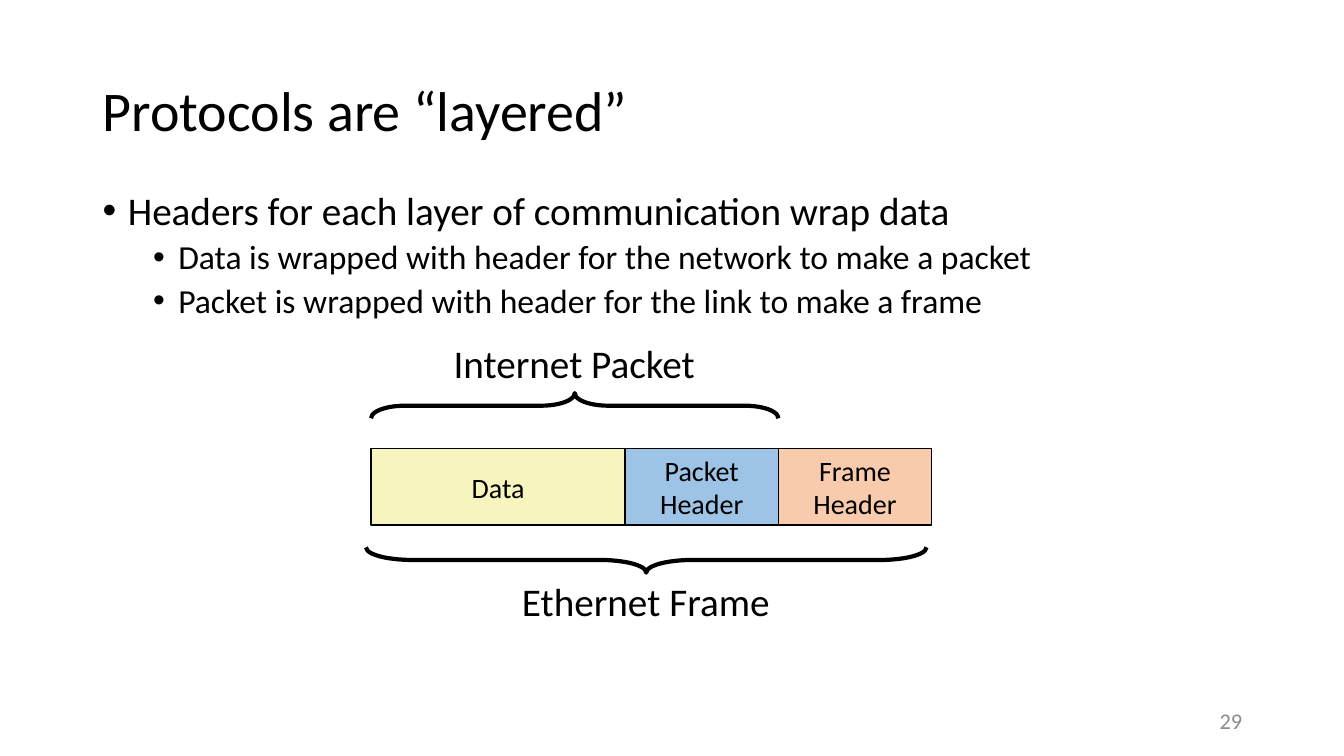
from lxml.etree import SubElement
from pptx import Presentation
from pptx.dml.color import RGBColor
from pptx.enum.shapes import MSO_SHAPE
from pptx.enum.text import MSO_ANCHOR, PP_ALIGN
from pptx.oxml.ns import qn
from pptx.util import Inches, Pt

BLACK = RGBColor(0x00, 0x00, 0x00)
GRAY = RGBColor(0x8C, 0x8C, 0x8C)
YELLOW = RGBColor(0xF6, 0xF5, 0xBD)
BLUE = RGBColor(0x9D, 0xC3, 0xE6)
ORANGE = RGBColor(0xF8, 0xCB, 0xAD)


def write_text(paragraph, text, size, color=BLACK, font="Calibri",
               align=PP_ALIGN.LEFT, line_spacing=1.0, space_before=0,
               bullet_indent=None):
    """Fill a paragraph; bullet_indent is the left margin of a bulleted one."""
    if bullet_indent is not None:
        properties = paragraph._p.get_or_add_pPr()
        properties.set("marL", str(Inches(bullet_indent)))
        properties.set("indent", str(-Inches(0.25)))
        SubElement(properties, qn("a:buFont"), typeface="Arial")
        SubElement(properties, qn("a:buChar"), char="•")
    paragraph.text = text
    paragraph.alignment = align
    paragraph.line_spacing = line_spacing
    paragraph.space_before = Pt(space_before)
    for run in paragraph.runs:
        run.font.name = font
        run.font.size = Pt(size)
        run.font.color.rgb = color


class SlideBuilder:
    def __init__(self, slide):
        self.slide = slide

    def text_box(self, left, top, width, height, anchor=MSO_ANCHOR.MIDDLE):
        box = self.slide.shapes.add_textbox(
            Inches(left), Inches(top), Inches(width), Inches(height))
        frame = box.text_frame
        frame.word_wrap = True
        frame.vertical_anchor = anchor
        return frame

    def label(self, text, left, top, width, height, **text_format):
        frame = self.text_box(left, top, width, height)
        write_text(frame.paragraphs[0], text, **text_format)

    def bullets(self, items, left, top, width, height):
        frame = self.text_box(left, top, width, height, MSO_ANCHOR.TOP)
        for index, (level, text) in enumerate(items):
            paragraph = frame.add_paragraph() if index else frame.paragraphs[0]
            paragraph.level = level
            write_text(paragraph, text, size=28 - 4 * level, line_spacing=0.9,
                       space_before=5 if index else 0,
                       bullet_indent=0.25 + 0.5 * level)

    def outlined_shape(self, kind, left, top, width, height, line_width):
        shape = self.slide.shapes.add_shape(
            kind, Inches(left), Inches(top), Inches(width), Inches(height))
        shape.shadow.inherit = False
        shape.line.color.rgb = BLACK
        shape.line.width = Pt(line_width)
        return shape

    def block(self, text, left, top, width, height, color):
        shape = self.outlined_shape(
            MSO_SHAPE.RECTANGLE, left, top, width, height, 1)
        shape.fill.solid()
        shape.fill.fore_color.rgb = color
        frame = shape.text_frame
        frame.word_wrap = False
        frame.vertical_anchor = MSO_ANCHOR.MIDDLE
        write_text(frame.paragraphs[0], text, size=20, align=PP_ALIGN.CENTER)

    def brace(self, left, top, length, depth, rotation, curve):
        """Place a brace by the box it covers once it is rotated."""
        shift = (length - depth) / 2
        shape = self.outlined_shape(
            MSO_SHAPE.LEFT_BRACE, left + shift, top - shift, depth, length, 3)
        shape.rotation = rotation
        shape.adjustments[0] = curve
        shape.adjustments[1] = 0.5
        shape.fill.background()


def main():
    presentation = Presentation()
    presentation.slide_width = Inches(13.33)
    presentation.slide_height = Inches(7.5)
    builder = SlideBuilder(
        presentation.slides.add_slide(presentation.slide_layouts[6]))

    # Title, bullets and slide number
    builder.label("Protocols are “layered”", 0.92, 0.4, 11.5, 1.45,
                  size=40, line_spacing=0.9)
    builder.bullets([
        (0, "Headers for each layer of communication wrap data"),
        (1, "Data is wrapped with header for the network to make a packet"),
        (1, "Packet is wrapped with header for the link to make a frame"),
    ], 0.92, 1.85, 11.5, 4.76)
    builder.label("29", 9.42, 6.95, 3, 0.4, size=16, color=GRAY,
                  align=PP_ALIGN.RIGHT)

    # Frame blocks, side by side
    left = 3.68
    for text, width, color in [("Data", 2.52, YELLOW),
                               ("Packet\nHeader", 1.52, BLUE),
                               ("Frame\nHeader", 1.52, ORANGE)]:
        builder.block(text, left, 4.45, width, 0.76, color)
        left += width

    # Braces with their labels
    builder.brace(3.68, 3.9, 4.04, 0.25, rotation=90, curve=1.33)
    builder.brace(3.63, 5.43, 5.56, 0.25, rotation=270, curve=1.83)
    for text, left, top, width in [("Internet Packet", 4.27, 3.31, 2.85),
                                   ("Ethernet Frame", 4.96, 5.68, 2.89)]:
        builder.label(text, left, top, width, 0.57, size=28,
                      align=PP_ALIGN.CENTER)

    presentation.save("out.pptx")


if __name__ == "__main__":
    main()
